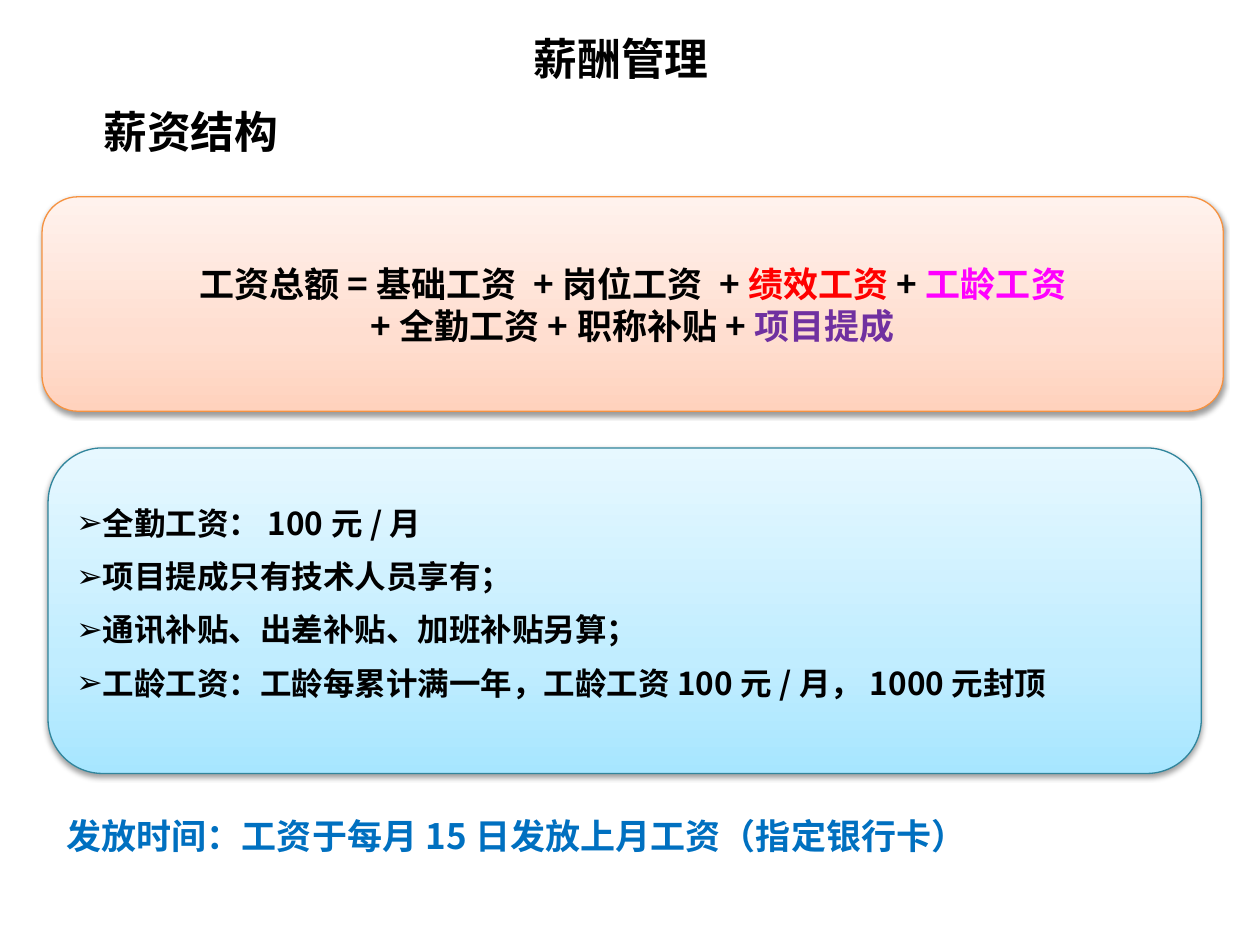
from lxml.etree import SubElement
from pptx import Presentation
from pptx.dml.color import RGBColor
from pptx.enum.shapes import MSO_SHAPE as Shape
from pptx.enum.text import MSO_ANCHOR as Anchor, MSO_AUTO_SIZE as AutoSize, PP_ALIGN as Align
from pptx.oxml.ns import qn
from pptx.util import Pt

CJK_FONT = "Noto Sans CJK SC"
COLORS = {
    "black": "000000", "red": "FF0000", "magenta": "FF00FF",
    "purple": "7030A0", "blue": "0070C0",
    "orange_line": "F69240", "teal_line": "31859C",
}
# Gradient stops run from the bottom edge to the top edge
GRADIENTS = {
    "orange": {0: "FFD2BD", 35: "FFDED0", 100: "FFF2ED"},
    "blue": {0: "A7E6FF", 35: "C1EDFF", 100: "E7F8FF"},
}
FORMULA = [
    [("工资总额=基础工资 +岗位工资 +", "black"), ("绩效工资", "red"),
     ("+", "black"), ("工龄工资", "magenta")],
    [("+全勤工资+职称补贴+", "black"), ("项目提成", "purple")],
]
RULES = [
    "全勤工资：100元/月",
    "项目提成只有技术人员享有；",
    "通讯补贴、出差补贴、加班补贴另算；",
    "工龄工资：工龄每累计满一年，工龄工资100元/月，1000元封顶",
]


def set_values(target, values):
    for name, value in values.items():
        setattr(target, name, value)


def add_run(paragraph, text, size, color="black", font_name=CJK_FONT):
    run = paragraph.add_run()
    run.text = text
    set_values(run.font, {"size": Pt(size), "bold": True, "name": font_name})
    run.font.color.rgb = RGBColor.from_string(COLORS[color])
    SubElement(run.font._element, qn("a:ea"), typeface=CJK_FONT)


def get_paragraphs(frame, count):
    return [frame.paragraphs[0]] + [frame.add_paragraph() for _ in range(count - 1)]


def add_bullet(paragraph, character):
    properties = paragraph._p.get_or_add_pPr()
    set_indent(paragraph, 0)
    SubElement(properties, qn("a:buFont"), typeface="Arial")
    SubElement(properties, qn("a:buChar"), char=character)


def set_indent(paragraph, points):
    properties = paragraph._p.get_or_add_pPr()
    properties.set("marL", "0")
    properties.set("indent", str(int(Pt(points))))


def fill_gradient(shape, stops):
    shape.fill.gradient()
    shape.fill.gradient_angle = 90
    stop_list = shape._element.spPr.find(qn("a:gradFill")).find(qn("a:gsLst"))
    for stop in list(stop_list):
        stop_list.remove(stop)
    for position, color in stops.items():
        stop = SubElement(stop_list, qn("a:gs"), pos=str(position * 1000))
        SubElement(stop, qn("a:srgbClr"), val=color)


def add_soft_shadow(shape):
    shape.shadow.inherit = False
    effects = shape._element.spPr.find(qn("a:effectLst"))
    shadow = SubElement(effects, qn("a:outerShdw"), blurRad=str(int(Pt(3.1))),
                        dist=str(int(Pt(1.6))), dir="5400000", rotWithShape="0")
    color = SubElement(shadow, qn("a:srgbClr"), val=COLORS["black"])
    SubElement(color, qn("a:alpha"), val="38000")


def add_panel(slide, box, gradient, line):
    panel = slide.shapes.add_shape(Shape.ROUNDED_RECTANGLE, *map(Pt, box))
    panel.adjustments[0] = 0.167
    fill_gradient(panel, GRADIENTS[gradient])
    panel.line.color.rgb = RGBColor.from_string(COLORS[line])
    panel.line.width = Pt(0.75)
    add_soft_shadow(panel)
    set_values(panel.text_frame, {"word_wrap": True, "vertical_anchor": Anchor.MIDDLE})
    return panel.text_frame


def add_title(slide, box):
    title = slide.shapes.title
    set_values(title, dict(zip(("left", "top", "width", "height"), map(Pt, box))))
    set_values(title.text_frame, {"word_wrap": True, "vertical_anchor": Anchor.TOP})
    paragraph = title.text_frame.paragraphs[0]
    paragraph.alignment = Align.CENTER
    add_run(paragraph, "薪酬管理", 25, font_name="Calibri")


def add_heading(slide, box):
    frame = slide.shapes.add_textbox(*map(Pt, box)).text_frame
    set_values(frame, {"word_wrap": True, "vertical_anchor": Anchor.MIDDLE,
                       "auto_size": AutoSize.SHAPE_TO_FIT_TEXT})
    set_indent(frame.paragraphs[0], 28)
    add_run(frame.paragraphs[0], "薪资结构", 25, font_name="Arial")


def add_formula(slide, box):
    frame = add_panel(slide, box, "orange", "orange_line")
    for paragraph, parts in zip(get_paragraphs(frame, len(FORMULA)), FORMULA):
        paragraph.alignment = Align.CENTER
        for text, color in parts:
            add_run(paragraph, text, 20, color)


def add_rules(slide, box):
    frame = add_panel(slide, box, "blue", "teal_line")
    frame.margin_bottom = Pt(18)
    for index, (paragraph, text) in enumerate(zip(get_paragraphs(frame, len(RULES)), RULES)):
        set_values(paragraph, {"alignment": Align.LEFT, "line_spacing": 1.25,
                               "space_before": Pt(3.4 if index else 0)})
        add_bullet(paragraph, "➢")
        add_run(paragraph, text, 18)


def add_payday(slide, box):
    frame = slide.shapes.add_textbox(*map(Pt, box)).text_frame
    frame.word_wrap = True
    paragraph = frame.paragraphs[0]
    set_values(paragraph, {"alignment": Align.JUSTIFY, "line_spacing": 1.25})
    add_run(paragraph, "发放时间：工资于每月15日发放上月工资（指定银行卡）", 20, "blue")


def main():
    presentation = Presentation()
    set_values(presentation, {"slide_width": Pt(720), "slide_height": Pt(540)})
    slide = presentation.slides.add_slide(presentation.slide_layouts[5])
    # Rules and payday
    add_rules(slide, (27.5, 256, 659, 186))
    add_payday(slide, (31, 456, 636, 42))
    # Salary formula
    add_formula(slide, (24, 112.5, 675, 122.5))
    # Title and heading
    add_title(slide, (31, 14.5, 648, 45))
    add_heading(slide, (24, 56, 186, 37.5))
    presentation.save("out.pptx")


if __name__ == "__main__":
    main()
